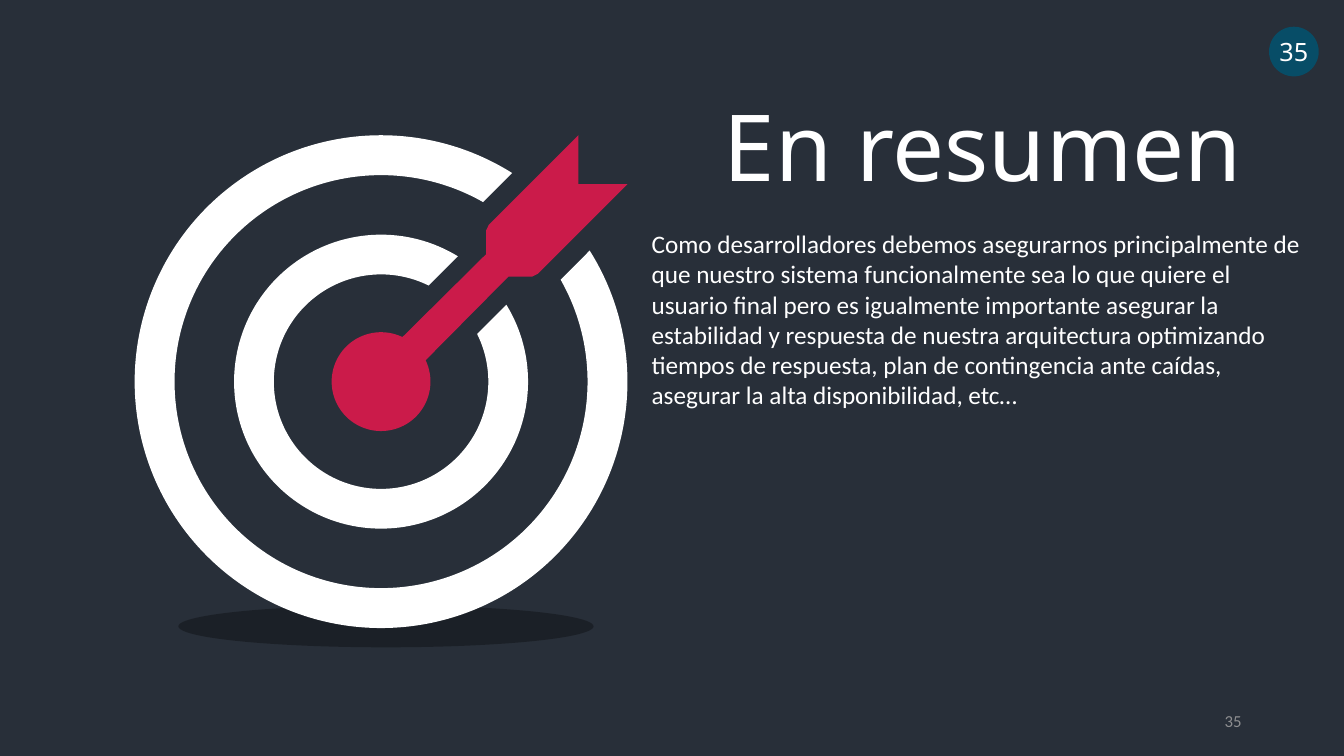
import math

import pptx
import pptx.dml.color
import pptx.enum.shapes
import pptx.enum.text
import pptx.oxml
import pptx.oxml.ns
import pptx.util

Pt = pptx.util.Pt
qn = pptx.oxml.ns.qn
ALIGN = pptx.enum.text.PP_ALIGN
ANCHOR = pptx.enum.text.MSO_ANCHOR

COLORS = {
    "background": "282F39",
    "white": "FFFFFF",
    "black": "000000",
    "dart": "CB1B4A",
    "badge": "074D67",
    "muted": "8E8F91",
}
HEADING_FONT = "Noto Sans"
BODY_FONT = "Calibri"
TARGET_CENTER = (272.2, 272.6)
DART_AXIS = math.radians(-45)

SUMMARY = (
    "Como desarrolladores debemos asegurarnos principalmente de que nuestro "
    "sistema funcionalmente sea lo que quiere el usuario final pero es "
    "igualmente importante asegurar la estabilidad y respuesta de nuestra "
    "arquitectura optimizando tiempos de respuesta, plan de contingencia ante "
    "caídas, asegurar la alta disponibilidad, etc…"
)


def rgb(name):
    return pptx.dml.color.RGBColor.from_string(COLORS[name])


def paint(shape, color):
    shape.shadow.inherit = False
    shape.fill.solid()
    shape.fill.fore_color.rgb = rgb(color)
    shape.line.fill.background()


def write(shape, text, font, size, color, align, anchor, wrap=True):
    frame = shape.text_frame
    frame.word_wrap = wrap
    frame.auto_size = pptx.enum.text.MSO_AUTO_SIZE.NONE
    frame.vertical_anchor = anchor
    frame.text = text
    paragraph = frame.paragraphs[0]
    paragraph.alignment = align
    paragraph.font.name = font
    paragraph.font.size = Pt(size)
    paragraph.font.color.rgb = rgb(color)


def add_text(page, left, top, width, height, *text_style):
    box = page.shapes.add_textbox(Pt(left), Pt(top), Pt(width), Pt(height))
    write(box, *text_style)


def add_ellipse(page, left, top, width, height, color):
    ellipse = page.shapes.add_shape(
        pptx.enum.shapes.MSO_SHAPE.OVAL, Pt(left), Pt(top), Pt(width), Pt(height))
    paint(ellipse, color)
    return ellipse


def set_opacity(shape, percent):
    color = shape.fill._xPr.find(".//" + qn("a:srgbClr"))
    color.append(pptx.oxml.parse_xml(
        f'<a:alpha {pptx.oxml.ns.nsdecls("a")} val="{percent * 1000}"/>'))


def open_arc(radius, half_gap, clockwise=True, pieces=5):
    """Segments of a circle left open where the dart passes.

    The first segment is a corner; each other one is a Bézier curve.
    """
    gap = math.asin(half_gap / radius)
    turn = 1 if clockwise else -1
    step = turn * 2 * (math.pi - gap) / pieces
    handle = 4 / 3 * math.tan(step / 4)

    def point(angle, pull=0):
        return (radius * (math.cos(angle) - pull * math.sin(angle)),
                radius * (math.sin(angle) + pull * math.cos(angle)))

    start = DART_AXIS + turn * gap
    segments = [[point(start)]]
    for piece in range(pieces):
        begin, end = start + piece * step, start + (piece + 1) * step
        segments.append([point(begin, handle), point(end, -handle), point(end)])
    return segments


def add_outline(shapes, segments, color):
    """Fill an outline of lines (one point) and curves (three points)."""
    center_x, center_y = TARGET_CENTER
    points = [(Pt(center_x + x), Pt(center_y + y))
              for segment in segments for x, y in segment]
    builder = shapes.build_freeform(*points[0])
    builder.add_line_segments(points[1:], close=True)
    outline = builder.convert_to_shape()
    paint(outline, color)

    # Merge the three points of each curve into one Bézier command
    lines = iter(outline._element.findall(".//" + qn("a:lnTo")))
    for segment in segments[1:]:
        commands = [next(lines) for _ in segment]
        if len(segment) == 3:
            curve = pptx.oxml.parse_xml(
                f'<a:cubicBezTo {pptx.oxml.ns.nsdecls("a")}/>')
            commands[0].addprevious(curve)
            for command in commands:
                curve.append(command[0])
                command.getparent().remove(command)


def add_ring(shapes, outer, inner, half_gap):
    segments = open_arc(outer, half_gap) + open_arc(inner, half_gap, clockwise=False)
    add_outline(shapes, segments, "white")


def add_dart(shapes):
    # The lower edge mirrors the upper edge across the dart's axis
    upper_edge = [(75, -91), (75, -108), (77, -112), (141, -176)]
    lower_edge = [(-y, -x) for x, y in reversed(upper_edge)]
    notch = [(141, -141)]
    corners = [[corner] for corner in upper_edge + notch + lower_edge]
    add_outline(shapes, open_arc(35.3, 11.7) + corners, "dart")


def add_target(page):
    ground_shadow = add_ellipse(page, 127.4, 432.4, 296.6, 30, "black")
    set_opacity(ground_shadow, 30)
    shapes = page.shapes.add_group_shape().shapes
    add_ring(shapes, 176, 147.5, 39.2)
    add_ring(shapes, 105, 76.6, 24.5)
    add_dart(shapes)


def add_title(page, text):
    title = page.shapes.title
    title.left, title.top, title.width, title.height = Pt(443), Pt(59.8), Pt(518), Pt(87)
    write(title, text, HEADING_FONT, 66, "white", ALIGN.CENTER, ANCHOR.MIDDLE)


def add_badge(page, text):
    badge = add_ellipse(page, 906.5, 19.1, 35.5, 35.5, "badge")
    write(badge, text, HEADING_FONT, 18, "white", ALIGN.CENTER, ANCHOR.MIDDLE, False)


def main():
    deck = pptx.Presentation()
    deck.slide_width, deck.slide_height = Pt(960), Pt(540)
    page = deck.slides.add_slide(deck.slide_layouts[5])
    page.background.fill.solid()
    page.background.fill.fore_color.rgb = rgb("background")

    # Illustration
    add_target(page)

    # Heading and summary
    add_title(page, "En resumen")
    add_text(page, 458.4, 159.6, 484, 181.4,
             SUMMARY, BODY_FONT, 18, "white", ALIGN.LEFT, ANCHOR.TOP)

    # Page numbers
    add_badge(page, "35")
    add_text(page, 678, 500.4, 216, 28.8,
             "35", BODY_FONT, 12, "muted", ALIGN.RIGHT, ANCHOR.MIDDLE)

    deck.save("out.pptx")


if __name__ == "__main__":
    main()
